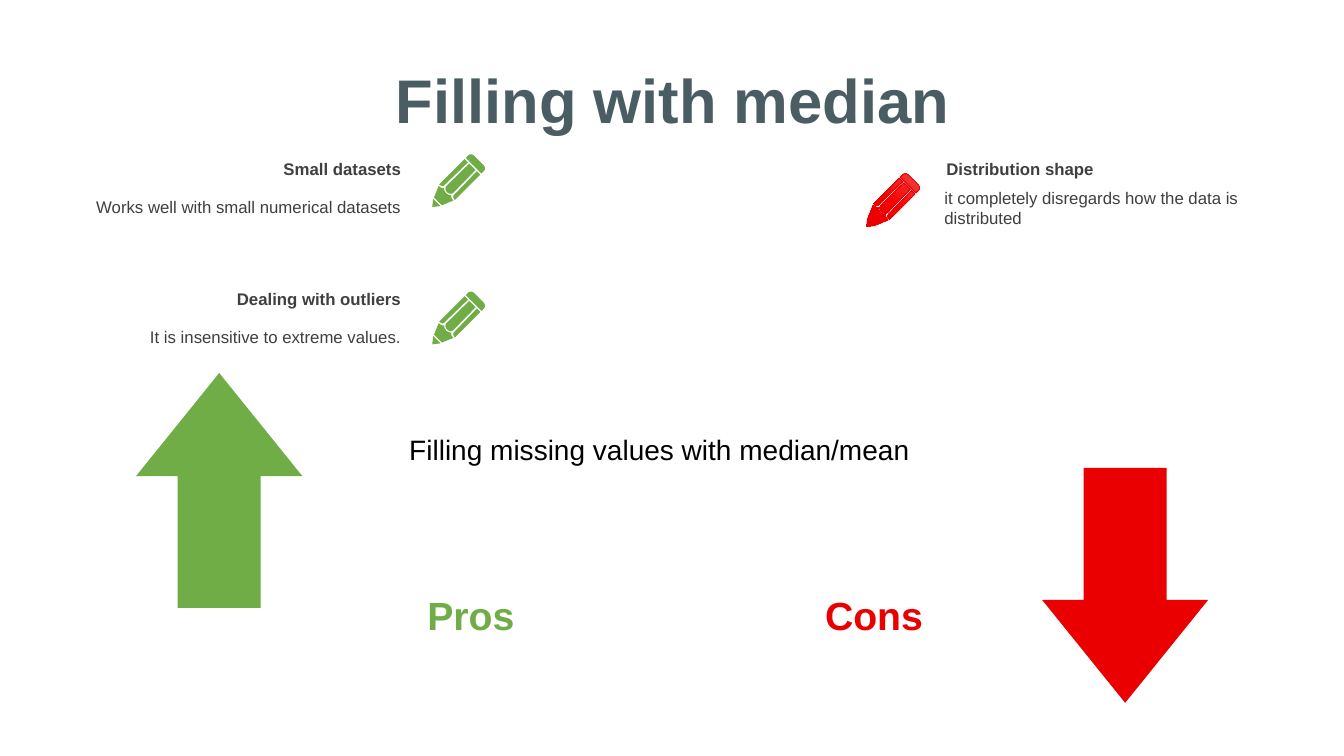
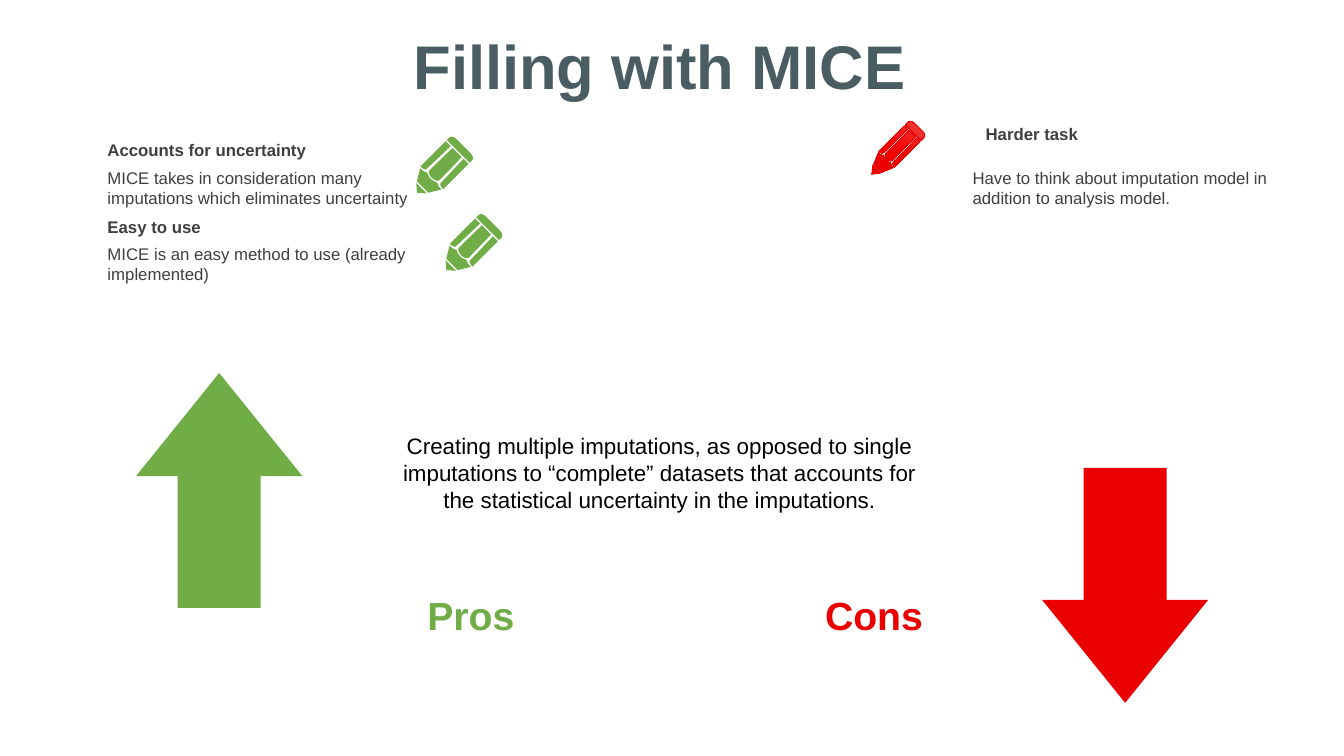
import pptx
import copy
import pptx.util
import pptx.dml.color
import pptx.enum.text
import pptx.enum.shapes
import pptx.oxml.ns

Cm = pptx.util.Cm
ALIGN = pptx.enum.text.PP_ALIGN
ANCHOR = pptx.enum.text.MSO_ANCHOR

FONT = "Arial"
COLORS = {
    "title": "4A5D62", "note": "3F3F3F", "summary": "000000",
    "pro": "70AD47", "con": "EA0000",
}
RED_STOPS = [(0, "F24747"), (0.5, "F50000"), (1, "E20000")]

PENCIL_W, PENCIL_H, UNIT = 32, 66, 100
SIDE = [(25, 9), (32, 9), (32, 45), (28, 45, 25.2, 43.6, 25.9, 41.5)]
TIP = [(8.5, 59.5), (23.5, 59.5), (16, 66)]
WOOD = [
    (1, 46.4), (5.4, 46.4, 7.5, 45.7, 8.9, 44.3),
    (9.6, 45, 12.5, 46.4, 16, 46.4), (19.5, 46.4, 22.4, 45, 23.1, 44.3),
    (24.5, 45.7, 26.6, 46.4, 31, 46.4), (24, 58), (8, 58),
]
CORE = [
    (9.5, 9), (22.5, 9), (23, 41.5), (22.4, 43.6, 19.5, 45, 16, 45),
    (12.5, 45, 9.6, 43.6, 9, 41.5),
]
CAP = [
    (0, 7.5), (0, 4), (0, 1.5, 3, 0, 7, 0), (25, 0),
    (29, 0, 32, 1.5, 32, 4), (32, 7.5),
]


def rgb(value):
    return pptx.dml.color.RGBColor.from_string(value)


def flatten(outline, steps=6):
    points = []
    for step in outline:
        if len(step) == 2:
            points.append(step)
            continue
        ctrl = [points[-1], step[:2], step[2:4], step[4:]]
        for i in range(1, steps + 1):
            t = i / steps
            weights = ((1 - t) ** 3, 3 * t * (1 - t) ** 2, 3 * t * t * (1 - t), t ** 3)
            points.append(tuple(sum(w * c[k] for w, c in zip(weights, ctrl)) for k in (0, 1)))
    return points


def mirror(points):
    return [(PENCIL_W - x, y) for x, y in points]


def write(tf, text, size=12, color="note", bold=False, align=ALIGN.LEFT, anchor=ANCHOR.TOP):
    tf.word_wrap = True
    tf.auto_size = pptx.enum.text.MSO_AUTO_SIZE.NONE
    tf.vertical_anchor = anchor
    tf.margin_left = tf.margin_right = Cm(0.25)
    tf.margin_top = tf.margin_bottom = Cm(0.13)
    p = tf.paragraphs[0]
    p.alignment = align
    r = p.add_run()
    r.text = text
    r.font.name = FONT
    r.font.size = pptx.util.Pt(size)
    r.font.bold = bold
    r.font.color.rgb = rgb(COLORS[color])


def add_text(s, text, x, y, w, h, **fmt):
    sp = s.shapes.add_textbox(Cm(x), Cm(y), Cm(w), Cm(h))
    write(sp.text_frame, text, **fmt)


def add_title(s, text, x, y):
    sp = s.shapes.title
    sp.left, sp.top, sp.width, sp.height = Cm(x), Cm(y), Cm(19.81), Cm(2.13)
    write(sp.text_frame, text, size=44, color="title", bold=True,
          align=ALIGN.CENTER, anchor=ANCHOR.MIDDLE)


def add_arrow(s, x, y, color, rotation=0):
    sp = s.shapes.add_shape(pptx.enum.shapes.MSO_SHAPE.UP_ARROW,
                            Cm(x), Cm(y), Cm(4.19), Cm(5.92))
    sp.adjustments[0], sp.adjustments[1] = 0.5, 0.62
    sp.rotation = rotation
    sp.shadow.inherit = False
    sp.fill.solid()
    sp.fill.fore_color.rgb = rgb(COLORS[color])
    sp.line.fill.background()


def fill_red_gradient(sp):
    sp.fill.gradient()
    sp.fill.gradient_angle = 270
    stops = sp._element.spPr.find(pptx.oxml.ns.qn("a:gradFill")).gsLst
    stops.insert(1, copy.deepcopy(stops[0]))
    for stop, (position, color) in zip(sp.fill.gradient_stops, RED_STOPS):
        stop.position = position
        stop.color.rgb = rgb(color)


def add_pencil(s, x, y, w=0.56, h=1.66, color="pro"):
    side = flatten(SIDE)
    outlines = [flatten(o) for o in (TIP, WOOD, CORE, CAP)] + [side, mirror(side)]
    scale = (Cm(w) / (PENCIL_W * UNIT), Cm(h) / (PENCIL_H * UNIT))
    builder = None
    for outline in outlines:
        start, *rest = [(px * UNIT, py * UNIT) for px, py in outline]
        if builder is None:
            builder = s.shapes.build_freeform(*start, scale=scale)
        else:
            builder.move_to(*start)
        builder.add_line_segments(rest, close=True)
    sp = builder.convert_to_shape(Cm(x), Cm(y))
    sp.rotation = 45
    sp.shadow.inherit = False
    if color == "con":
        fill_red_gradient(sp)
        sp.line.color.rgb = rgb(COLORS["con"])
        sp.line.width = pptx.util.Pt(0.75)
    else:
        sp.fill.solid()
        sp.fill.fore_color.rgb = rgb(COLORS[color])
        sp.line.fill.background()


def add_note(s, heading, body, head_at, body_at, w=8.15, align=ALIGN.LEFT):
    add_text(s, heading, *head_at, w, 0.8, bold=True, align=align)
    add_text(s, body, *body_at, w, 1.4, align=align)


def add_pros_cons_slide(prs, title, title_at, summary, summary_size):
    s = prs.slides.add_slide(prs.slide_layouts[5])
    add_title(s, title, *title_at)
    for text, x, color in (("Pros", 10.24, "pro"), ("Cons", 20.4, "con")):
        add_text(s, text, x, 14.76, 3.25, 1.45, size=28, color=color,
                 bold=True, align=ALIGN.CENTER)
    add_arrow(s, 3.43, 9.4, "pro")
    add_arrow(s, 26.26, 11.79, "con", rotation=180)
    add_text(s, summary, 9.65, 10.77, 13.94, 2.31, size=summary_size,
             color="summary", align=ALIGN.CENTER)
    return s


def add_median_slide(prs):
    s = add_pros_cons_slide(prs, "Filling with median", (7.06, 1.42),
                            "Filling missing values with median/mean", 20)
    pros = [
        ("Small datasets", "Works well with small numerical datasets", 3.86),
        ("Dealing with outliers", "It is insensitive to extreme values.", 7.14),
    ]
    for heading, body, y in pros:
        add_note(s, heading, body, (2.16, y), (2.16, y + 0.97), w=8.2, align=ALIGN.RIGHT)
    add_note(s, "Distribution shape", "it completely disregards how the data is distributed",
             (23.6, 3.86), (23.55, 4.6))
    add_pencil(s, 11.2, 3.8)
    add_pencil(s, 11.2, 7.26)
    add_pencil(s, 22.15, 4.29, color="con")


def add_mice_slide(prs):
    s = add_pros_cons_slide(
        prs, "Filling with MICE", (6.73, 0.56),
        "Creating multiple imputations, as opposed to single imputations to “complete” "
        "datasets that accounts for the statistical uncertainty in the imputations.", 16)
    pros = [
        ("Accounts for uncertainty",
         "MICE takes in consideration many imputations which eliminates uncertainty",
         3.38, 4.09, 10.69),
        ("Easy to use", "MICE is an easy method to use (already implemented)",
         5.33, 6.02, 11.43),
    ]
    for heading, body, head_y, body_y, pencil_x in pros:
        add_note(s, heading, body, (2.46, head_y), (2.46, body_y))
        add_pencil(s, pencil_x, head_y + 0.06, w=0.81)
    add_note(s, "Harder task",
             "Have to think about imputation model in addition to analysis model.",
             (24.59, 3), (24.26, 4.09))
    add_pencil(s, 22.28, 2.97, color="con")


def main():
    prs = pptx.Presentation()
    prs.slide_width, prs.slide_height = Cm(33.87), Cm(19.05)
    add_median_slide(prs)
    add_mice_slide(prs)
    prs.save("out.pptx")


if __name__ == "__main__":
    main()
